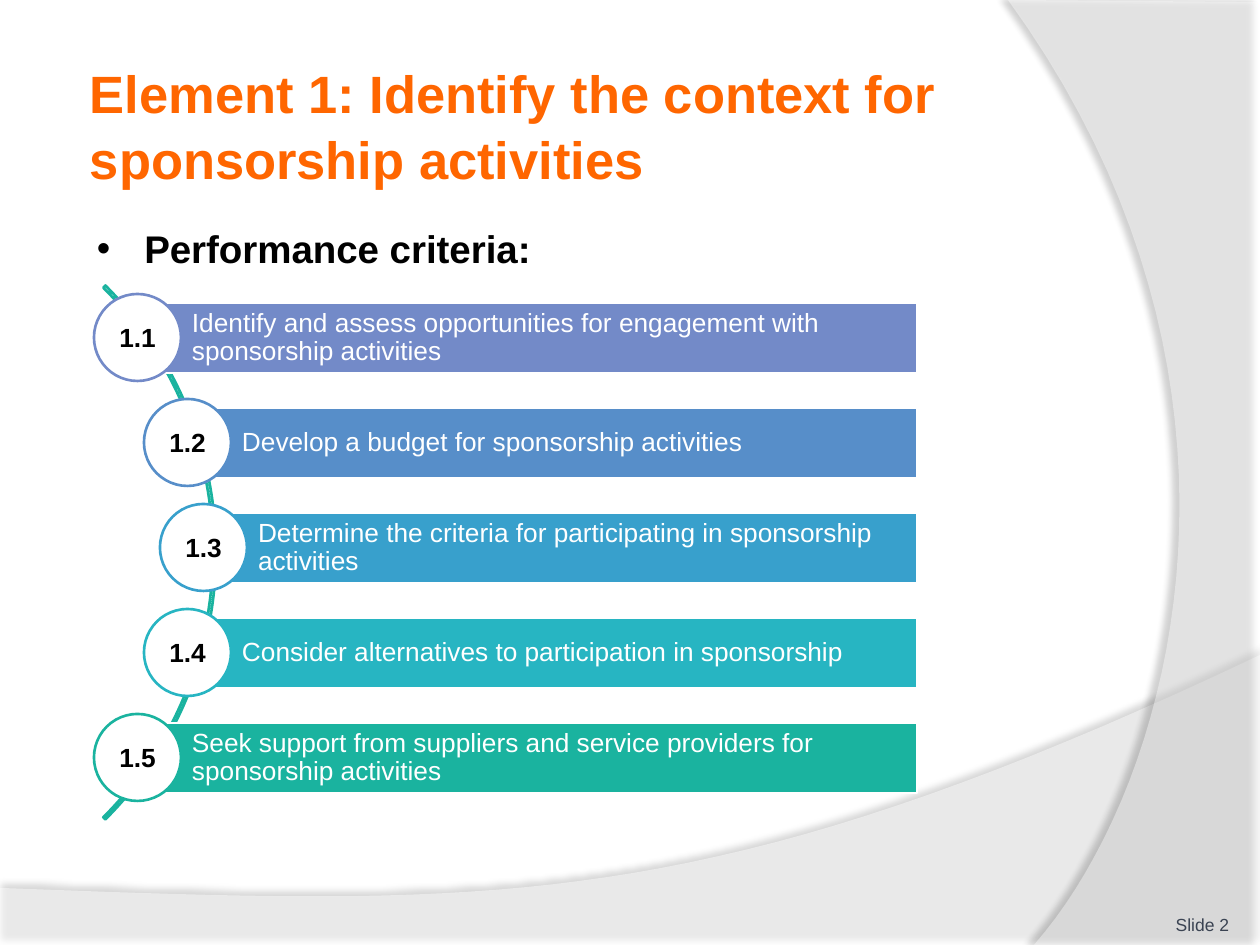
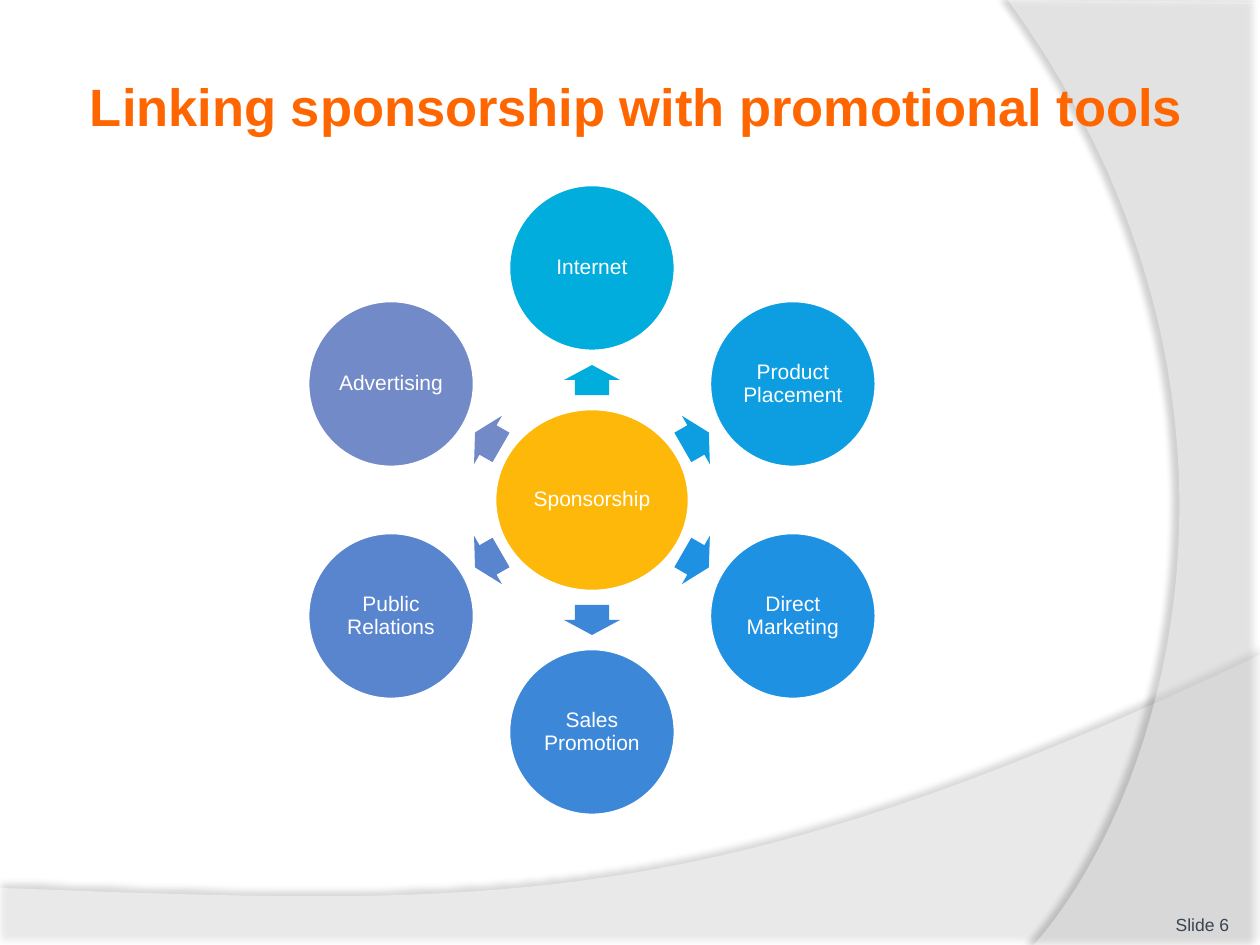
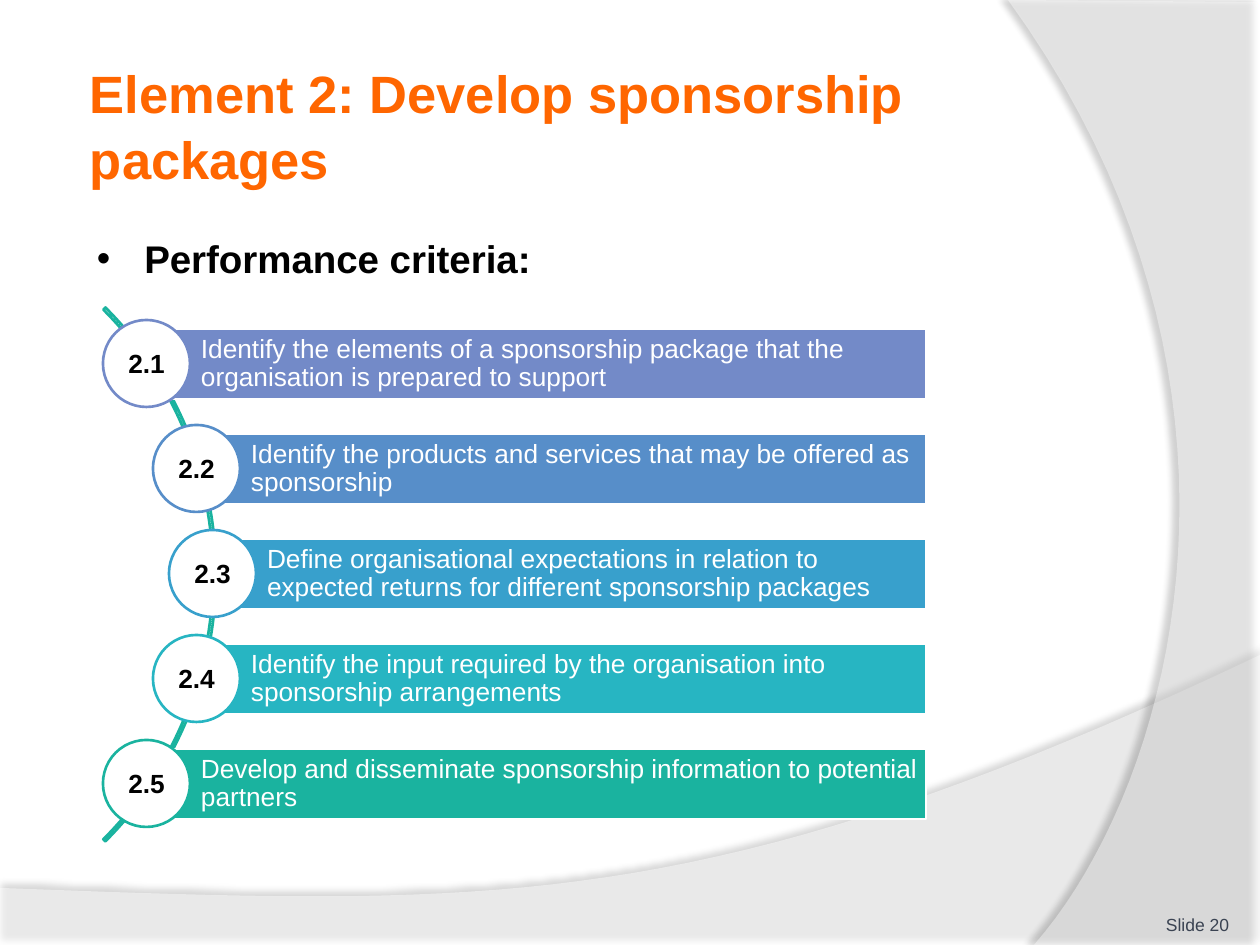
import math

import lxml.etree
import pptx
import pptx.dml.color
import pptx.enum.shapes
import pptx.enum.text
import pptx.oxml.ns
import pptx.util

SCALE = 914400 / 126  # EMU in one px
FINE = 10  # steps per px in outlines
WIDE, HIGH = 1260, 945
FONT = "Arial"
SHAPE = pptx.enum.shapes.MSO_SHAPE
ALIGN = pptx.enum.text.PP_ALIGN
ANCHOR = pptx.enum.text.MSO_ANCHOR

HUES = {
    "white": "FFFFFF", "black": "000000", "title": "FF6600", "foot": "3A4352",
    "arc": "1AB39F", "hub": "FEB80A",
}
BARS = ["738AC8", "578EC9", "38A0CC", "27B5C2", "1AB39F"]
RING = [
    ("Internet", "00ADDC"), ("Product Placement", "0D9EE2"),
    ("Direct Marketing", "1F91E3"), ("Sales Promotion", "3D87D8"),
    ("Public Relations", "5985CF"), ("Advertising", "738AC8"),
]


# Basic helpers

def px(num):
    return pptx.util.Emu(round(num * SCALE))


def rgb(hue):
    return pptx.dml.color.RGBColor.from_string(hue)


def tag(parent, name, **attrs):
    return lxml.etree.SubElement(parent, pptx.oxml.ns.qn(name), attrs)


def place(shape, box):
    shape.left, shape.top, shape.width, shape.height = map(px, box)


def write(shape, text, size, hue, bold=False, align=ALIGN.LEFT,
          anchor=ANCHOR.MIDDLE, pad=(0, 0, 0, 0), lead=None):
    frame = shape.text_frame
    frame.text = text
    frame.word_wrap = True
    frame.auto_size = pptx.enum.text.MSO_AUTO_SIZE.NONE
    frame.vertical_anchor = anchor
    (frame.margin_left, frame.margin_top,
     frame.margin_right, frame.margin_bottom) = map(px, pad)
    para = frame.paragraphs[0]
    para.alignment = align
    para.line_spacing = lead
    font = para.runs[0].font
    font.name, font.size, font.bold = FONT, pptx.util.Pt(size), bold
    font.color.rgb = rgb(hue)
    return para


def paint(shape, fill=None, line=None):
    shape.shadow.inherit = False
    if fill:
        shape.fill.solid()
        shape.fill.fore_color.rgb = rgb(fill)
    else:
        shape.fill.background()
    if line:
        shape.line.color.rgb = rgb(line)
        shape.line.width = pptx.util.Pt(1.5)
    else:
        shape.line.fill.background()


def draw(slide, kind, box, fill=None, line=None):
    shape = slide.shapes.add_shape(kind, *map(px, box))
    paint(shape, fill, line)
    return shape


def trace(slide, dots, fill):
    dots = [(x * FINE, y * FINE) for x, y in dots]
    pen = slide.shapes.build_freeform(*dots[0], scale=SCALE / FINE)
    pen.add_line_segments(dots[1:], close=True)
    shape = pen.convert_to_shape()
    paint(shape, fill)
    return shape


def label(slide, box, text, *style, **more):
    return write(slide.shapes.add_textbox(*map(px, box)), text, *style, **more)


# Shared backdrop, title and footer

def curve(ends, steps=40):
    dots = []
    for step in range(1, steps + 1):
        t = step / steps
        mix = [(1 - t) ** 3, 3 * t * (1 - t) ** 2, 3 * t * t * (1 - t), t ** 3]
        dots.append(tuple(sum(m * p[i] for m, p in zip(mix, ends))
                          for i in (0, 1)))
    return dots


def swoosh(deck, slide, rank, edge, bend, clear, shade, dist, angle):
    shape = trace(slide, edge + curve([edge[-1]] + bend), HUES["white"])
    props = shape.element.spPr
    tint = next(props.iter(pptx.oxml.ns.qn("a:srgbClr")))
    tag(tint, "a:alpha", val=str(clear * 1000))
    glow = tag(props.find(pptx.oxml.ns.qn("a:effectLst")), "a:outerShdw",
               blurRad=str(pptx.util.Pt(4)), dist=str(pptx.util.Pt(dist)),
               dir=str(angle * 60000), algn="ctr", rotWithShape="0")
    tone = tag(glow, "a:srgbClr", val=HUES["black"])
    tag(tone, "a:alpha", val=str(shade * 1000))
    # Move it to the master, behind the placeholders
    deck.slide_master.shapes.element.insert(2 + rank, shape.element)


def backdrop(deck, slide):
    swoosh(deck, slide, 0, [(0, 888), (0, HIGH), (WIDE, HIGH), (WIDE, 655)],
           [(704, 919), (493, 906), (0, 888)], 45, 35, 3.5, 270)
    swoosh(deck, slide, 1, [(WIDE, 2), (WIDE, HIGH), (1034, HIGH)],
           [(1178, 780), (1283, 378), (1008, 0)], 40, 45, 4, 180)


def start(deck, layout, title, box, page):
    slide = deck.slides.add_slide(deck.slide_layouts[layout])
    place(slide.shapes.title, box)
    write(slide.shapes.title, title, 30, HUES["title"], True,
          pad=(6, 6, 6, 6), lead=1.05)
    label(slide, (1124, 885, 105, 50), f"Slide {page}", 10, HUES["foot"],
          align=ALIGN.RIGHT, anchor=ANCHOR.BOTTOM)
    return slide


# Curved list of numbered criteria

def steps(slide, left, top, part, items):
    disc, pitch, right = 87, 105, left + 823
    shifts = [0, 50, 66, 50, 0]
    rows = list(zip(shifts, BARS, items))
    for num, (shift, hue, text) in enumerate(rows):
        x, y = left + shift, top + num * pitch
        bar = draw(slide, SHAPE.RECTANGLE, (x + 43, y + 9, right - x - 43, 70),
                   hue, HUES["white"])
        write(bar, text, 15, HUES["white"], pad=(55, 5, 5, 5), lead=0.9)
        draw(slide, SHAPE.OVAL, (x, y, disc, disc), HUES["white"], hue)
        label(slide, (x + 4, y + 21, 79, 44), f"{part}.{num + 1}", 15,
              HUES["black"], True, align=ALIGN.CENTER, anchor=ANCHOR.TOP,
              pad=(13, 6, 13, 6))


def criteria(deck, title, page, part, head, arc, left, top, items):
    slide = start(deck, 1, title, (84, 45, 1029, 158), page)
    body = slide.placeholders[1]
    place(body, (84, head, 1029, 838 - head))
    para = body.text_frame.paragraphs[0]
    props = para._p.get_or_add_pPr()
    props.set("marL", "0")
    props.set("indent", "0")
    tag(props, "a:buNone")
    para = write(body, "Performance criteria:", 22, HUES["black"], True,
                 anchor=ANCHOR.TOP, pad=(13, 6, 13, 6))
    para.space_before = pptx.util.Pt(0)
    para.space_after = pptx.util.Pt(12)
    bow = draw(slide, SHAPE.BLOCK_ARC, (-539, arc, 755, 755),
               line=HUES["arc"])
    for num, value in enumerate((189, 27, 0.004)):
        bow.adjustments[num] = value
    steps(slide, left, top, part, items)
    return slide


# Hub with a ring of tools

def disc(slide, x, y, wide, high, text, hue):
    shape = draw(slide, SHAPE.OVAL, (x - wide / 2, y - high / 2, wide, high),
                 hue, HUES["white"])
    write(shape, text, 12, HUES["white"], align=ALIGN.CENTER,
          pad=(2, 2, 2, 2), lead=0.9)


def wheel(slide, x, y, reach):
    disc(slide, x, y, 194, 182, "Sponsorship", HUES["hub"])
    # Distance from the hub and sideways offset of each arrow corner
    arrow = [(105, -17), (120, -17), (120, -28), (135, 0),
             (120, 28), (120, 17), (105, 17)]
    for num, (text, hue) in enumerate(RING):
        turn = math.radians(num * 360 / len(RING))
        sin, cos = math.sin(turn), math.cos(turn)
        trace(slide, [(x + far * sin + side * cos, y - far * cos + side * sin)
                      for far, side in arrow], hue)
        disc(slide, x + reach * sin, y - reach * cos, 166, 166, text, hue)


def tools(deck):
    slide = start(deck, 5, "Linking sponsorship with promotional tools",
                  (84, 45, 1142, 118), 6)
    wheel(slide, 592, 500, 232)


def main():
    deck = pptx.Presentation()
    deck.slide_width, deck.slide_height = px(WIDE), px(HIGH)
    first = criteria(
        deck, "Element 1: Identify the context for sponsorship activities",
        2, 1, 219, 175, 94, 294, [
            "Identify and assess opportunities for engagement with "
            "sponsorship activities",
            "Develop a budget for sponsorship activities",
            "Determine the criteria for participating in sponsorship "
            "activities",
            "Consider alternatives to participation in sponsorship",
            "Seek support from suppliers and service providers for "
            "sponsorship activities",
        ])
    backdrop(deck, first)
    tools(deck)
    criteria(
        deck, "Element 2: Develop sponsorship packages",
        20, 2, 229, 197, 103, 320, [
            "Identify the elements of a sponsorship package that the "
            "organisation is prepared to support",
            "Identify the products and services that may be offered as "
            "sponsorship",
            "Define organisational expectations in relation to expected "
            "returns for different sponsorship packages",
            "Identify the input required by the organisation into "
            "sponsorship arrangements",
            "Develop and disseminate sponsorship information to potential "
            "partners",
        ])
    deck.save("out.pptx")


if __name__ == "__main__":
    main()
